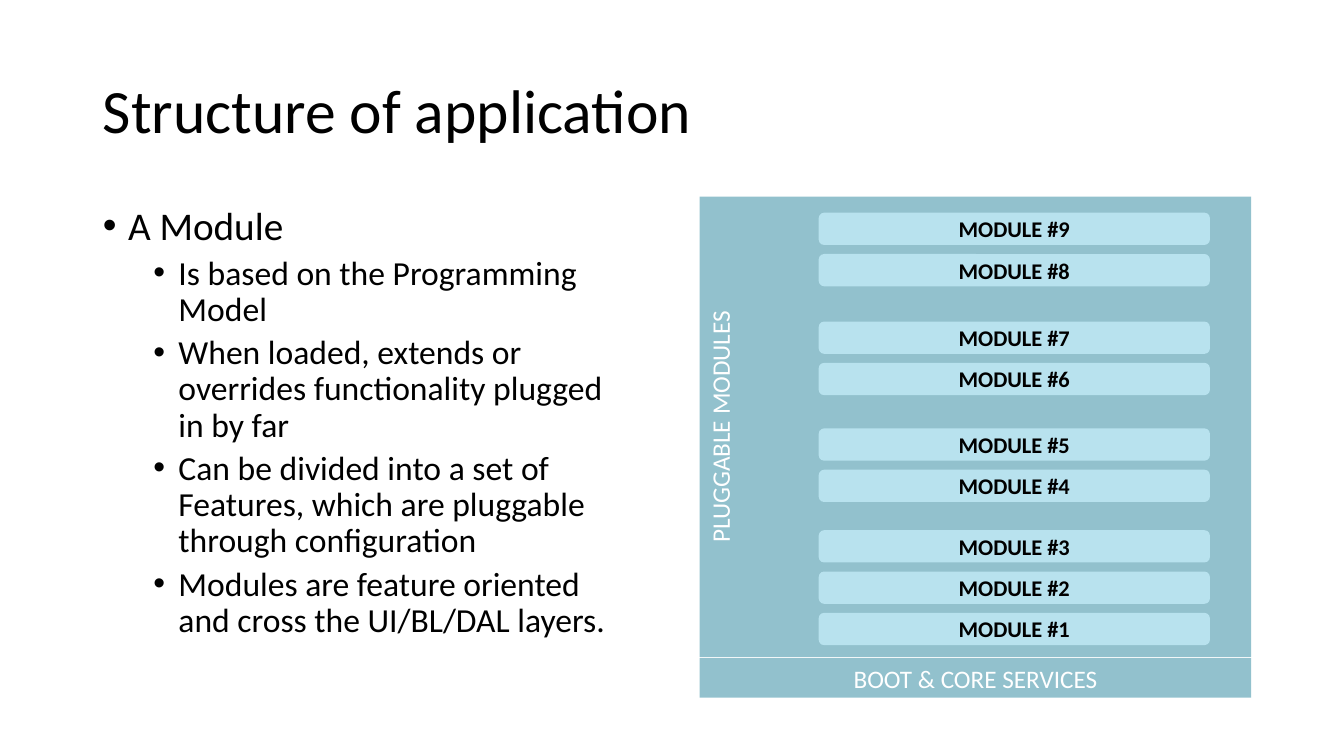
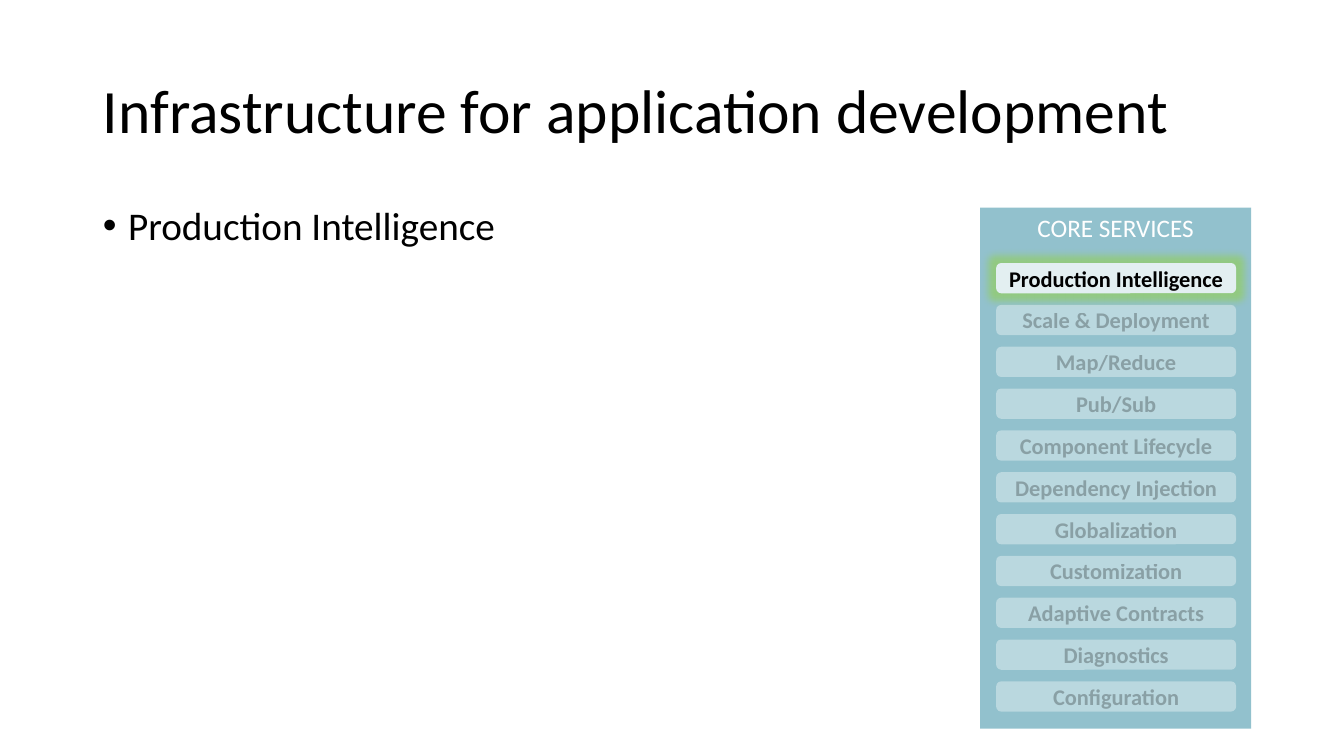
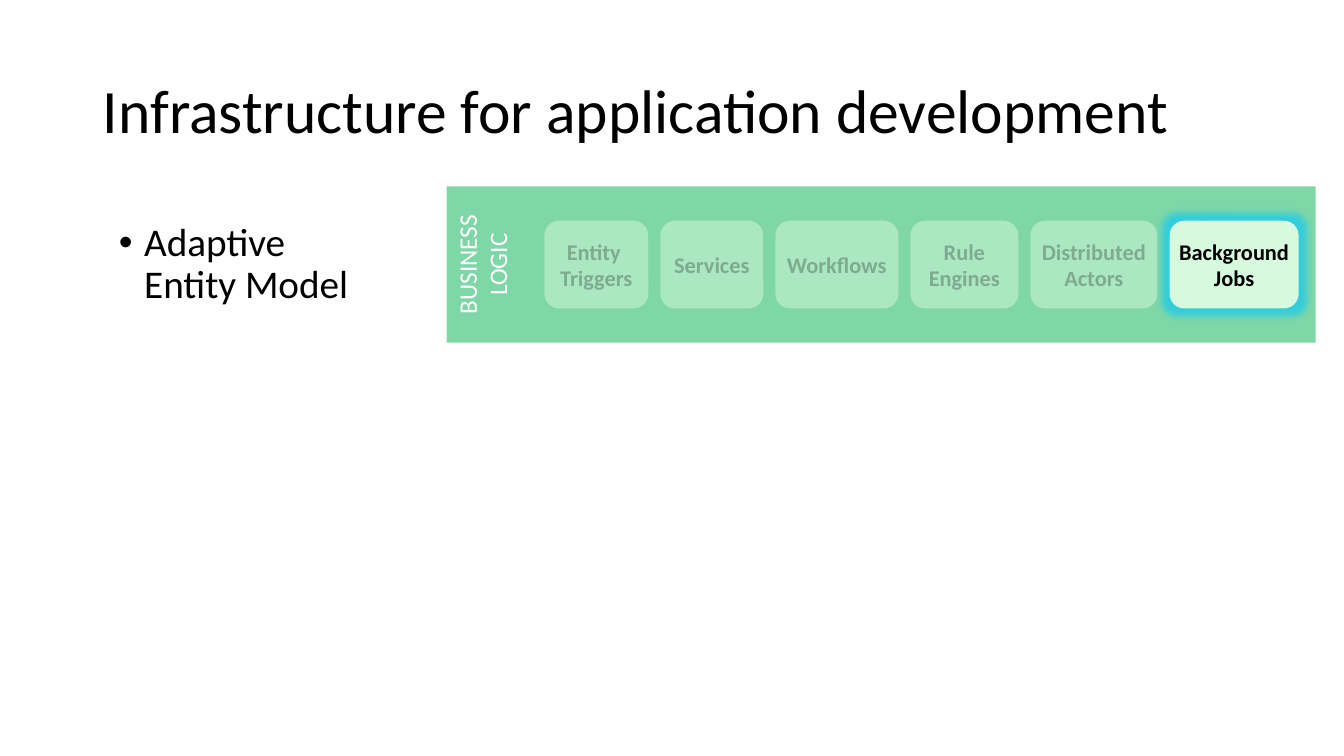
from itertools import accumulate

from lxml import etree
from pptx import Presentation, util as u
from pptx.dml.color import RGBColor
from pptx.enum import shapes, text
from pptx.oxml.ns import qn

THEME = {
    "font": "Calibri", "black": "000000", "white": "FFFFFF",
    "teal": "26859D", "green": "00B050",
    "module": "B8E2EE", "service": "E3EFF1", "logic": "D7F9DD",
    "lime_glow": "92D050", "cyan_glow": "00C8FF",
    "title": 44, "levels": (28, 24), "panel": 18, "box": 16,
    "faded_fill": 50, "faded_text": 25, "glow_alpha": 60, "glow_radius": 11,
}
W, H = 13.33, 7.5
TITLE_BOX = (0.92, 0.4, 11.5, 1.45)

MODULES = {
    "title": "Structure of application",
    "body": [(0, "A Module"),
             (1, "Is based on the Programming Model"),
             (1, "When loaded, extends or overrides functionality plugged in by far"),
             (1, "Can be divided into a set of Features, which are pluggable through configuration"),
             (1, "Modules are feature oriented and cross the UI/BL/DAL layers.")],
    "body_box": (0.92, 2, 5.47, 4.76),
    "panels": [("PLUGGABLE MODULES", (6.94, 1.95, 5.47, 4.57), "teal", True),
               ("BOOT & CORE SERVICES", (6.94, 6.53, 5.47, 0.39), "teal", False)],
}
MODULE_GROUPS = [(2.11, (9, 8)), (3.19, (7, 6)), (4.25, (5, 4)), (5.26, (3, 2, 1))]

SERVICES = {
    "title": "Infrastructure for application development",
    "body": [(0, "Production Intelligence")],
    "body_box": (0.92, 2, 8.32, 4.76),
    "panels": [("CORE SERVICES", (9.72, 2.06, 2.69, 5.17), "teal", False)],
}
SERVICE_NAMES = [
    "Production Intelligence", "Scale & Deployment", "Map/Reduce", "Pub/Sub",
    "Component Lifecycle", "Dependency Injection", "Globalization",
    "Customization", "Adaptive Contracts", "Diagnostics", "Configuration",
]

LOGIC = {
    "title": SERVICES["title"],
    "body": [(0, "Adaptive \nEntity Model")],
    "body_box": (1.08, 2.16, 11.96, 4.86),
    "panels": [("BUSINESS\nLOGIC", (4.43, 1.85, 8.62, 1.55), "green", True)],
}
LOGIC_PARTS = [("Entity \nTriggers", 1.03), ("Services", 1.02), ("Workflows", 1.22),
               ("Rule Engines", 1.07), ("Distributed Actors", 1.26),
               ("Background Jobs", 1.28)]


def put(obj, values):
    for name, value in values.items():
        setattr(obj, name, value)


def place(sp, box):
    put(sp, dict(zip(("left", "top", "width", "height"), map(u.Inches, box))))


def add_alpha(clr, percent):
    etree.SubElement(clr, qn("a:alpha"), val=str(percent * 1000))


def paint(fill, color, alpha=100):
    fill.solid()
    fill.fore_color.rgb = RGBColor.from_string(THEME[color])
    if alpha < 100:
        clr = fill._xPr.find(qn("a:solidFill")).find(qn("a:srgbClr"))
        add_alpha(clr, alpha)


def style_level(style, level, size, before, margin=0.0, bullet=None):
    pPr = style.find(qn(f"a:lvl{level}pPr"))
    indent = -0.25 if bullet else 0
    for name, value in {"algn": "l", "marL": int(u.Inches(margin)),
                        "indent": int(u.Inches(indent))}.items():
        pPr.set(name, str(value))
    for tag in ("a:lnSpc", "a:spcBef"):
        for old in pPr.findall(qn(tag)):
            pPr.remove(old)
    for i, (tag, unit, value) in enumerate((("a:lnSpc", "a:spcPct", 90000),
                                            ("a:spcBef", "a:spcPts", before * 100))):
        spacing = etree.Element(qn(tag))
        etree.SubElement(spacing, qn(unit), val=str(value))
        pPr.insert(i, spacing)
    if bullet:
        pPr.find(qn("a:buChar")).set("char", bullet)
    pPr.find(qn("a:defRPr")).set("sz", str(size * 100))


def style_master(prs):
    styles = prs.slide_master.element.find(qn("p:txStyles"))
    style_level(styles.find(qn("p:titleStyle")), 1, THEME["title"], 0)
    for i, size in enumerate(THEME["levels"]):
        style_level(styles.find(qn("p:bodyStyle")), i + 1, size,
                    (10, 5)[i], 0.25 + 0.5 * i, "•")


def label(sp, words, size, alpha=100, color="black", bold=False):
    p = sp.text_frame.paragraphs[0]
    p.text = words
    p.alignment = text.PP_ALIGN.CENTER
    for r in p.runs:
        put(r.font, {"name": THEME["font"], "size": u.Pt(THEME[size]), "bold": bold})
        paint(r.font.fill, color, alpha)


def add_block(s, kind, box, color, alpha=100):
    sp = s.shapes.add_shape(kind, *map(u.Inches, box))
    sp.shadow.inherit = False
    sp.line.fill.background()
    paint(sp.fill, color, alpha)
    return sp


def add_panel(s, words, box, color, sideways):
    sp = add_block(s, shapes.MSO_SHAPE.RECTANGLE, box, color, THEME["faded_fill"])
    sp.text_frame.vertical_anchor = text.MSO_ANCHOR.TOP
    if sideways:
        sp.text_frame._txBody.bodyPr.set("vert", "vert270")
    label(sp, words, "panel", color="white")


def add_box(s, words, box, color, faded=False, glow=None):
    sp = add_block(s, shapes.MSO_SHAPE.ROUNDED_RECTANGLE, box, color,
                   THEME["faded_fill"] if faded else 100)
    put(sp.text_frame, {"vertical_anchor": text.MSO_ANCHOR.MIDDLE, "word_wrap": True,
                        "margin_left": 0, "margin_right": 0,
                        "margin_top": 0, "margin_bottom": 0})
    label(sp, words, "box", THEME["faded_text"] if faded else 100, bold=True)
    if glow:
        effects = sp._element.spPr.find(qn("a:effectLst"))
        halo = etree.SubElement(effects, qn("a:glow"),
                                rad=str(int(u.Pt(THEME["glow_radius"]))))
        clr = etree.SubElement(halo, qn("a:srgbClr"), val=THEME[glow])
        add_alpha(clr, THEME["glow_alpha"])


def add_slide(prs, content):
    s = prs.slides.add_slide(prs.slide_layouts[1])
    title, body = s.placeholders
    place(title, TITLE_BOX)
    place(body, content["body_box"])
    title.text_frame.text = content["title"]
    for sp in (title, body):
        put(sp.text_frame, {"auto_size": text.MSO_AUTO_SIZE.NONE, "word_wrap": True})
    tf = body.text_frame
    for i, (level, words) in enumerate(content["body"]):
        p = tf.add_paragraph() if i else tf.paragraphs[0]
        put(p, {"text": words, "level": level})
    for panel in content["panels"]:
        add_panel(s, *panel)
    return s


def main():
    prs = Presentation()
    put(prs, {"slide_width": u.Inches(W), "slide_height": u.Inches(H)})
    style_master(prs)

    s = add_slide(prs, MODULES)
    for top, numbers in MODULE_GROUPS:
        for row, number in enumerate(numbers):
            add_box(s, f"MODULE #{number}", (8.12, top + 0.41 * row, 3.88, 0.32), "module")

    s = add_slide(prs, SERVICES)
    step = (6.76 - 2.61) / (len(SERVICE_NAMES) - 1)
    for row, name in enumerate(SERVICE_NAMES):
        add_box(s, name, (9.88, 2.61 + step * row, 2.38, 0.3), "service",
                faded=row > 0, glow=None if row else "lime_glow")

    s = add_slide(prs, LOGIC)
    lefts = accumulate((w + 0.12 for _, w in LOGIC_PARTS), initial=5.4)
    for left, (name, width) in zip(lefts, LOGIC_PARTS):
        active = name == LOGIC_PARTS[-1][0]
        add_box(s, name, (left, 2.19, width, 0.87), "logic",
                faded=not active, glow="cyan_glow" if active else None)

    prs.save("out.pptx")


if __name__ == "__main__":
    main()
